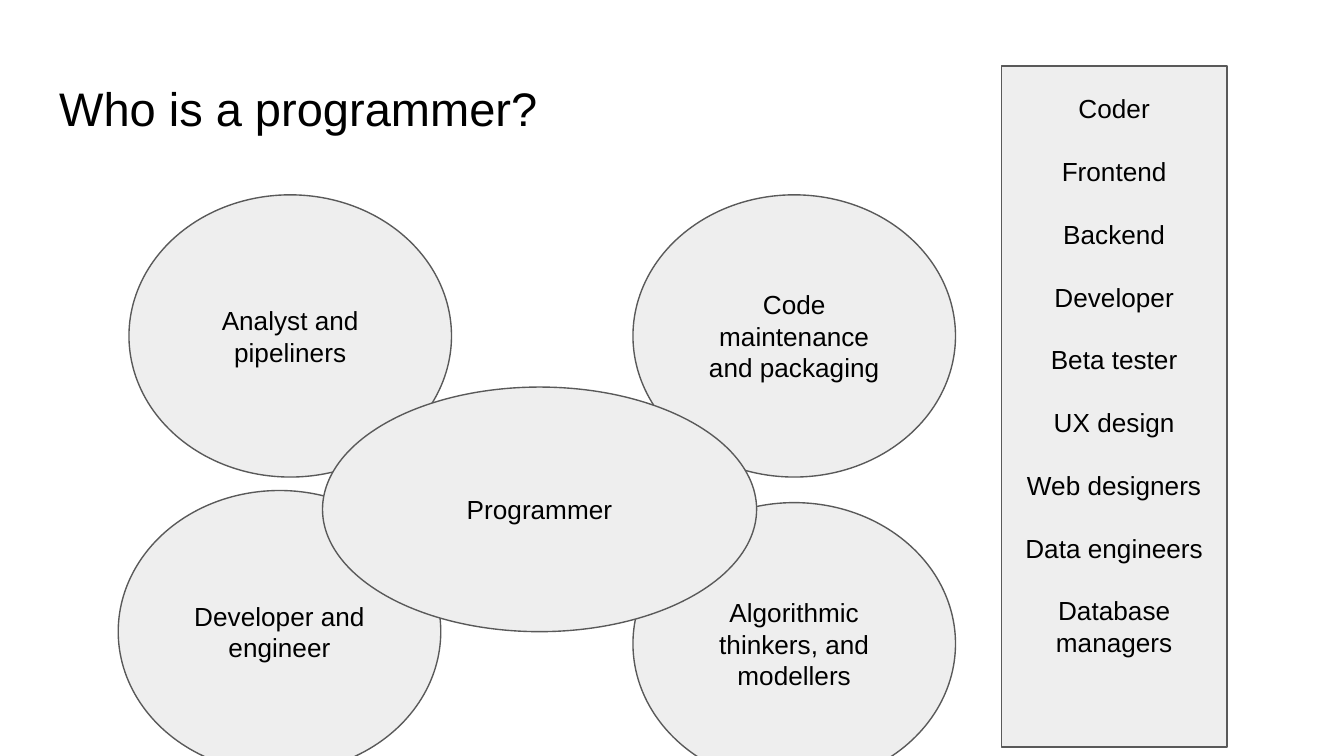
import pptx
import pptx.util
import pptx.dml.color
import pptx.enum.shapes
import pptx.enum.text
from dataclasses import dataclass

Inches, Pt = pptx.util.Inches, pptx.util.Pt
RGB = pptx.dml.color.RGBColor
SHAPE = pptx.enum.shapes.MSO_SHAPE
ANCHOR = pptx.enum.text.MSO_ANCHOR
ALIGN = pptx.enum.text.PP_ALIGN


@dataclass(frozen=True)
class Theme:
    font: str = "Arial"
    text: RGB = RGB(0, 0, 0)
    fill: RGB = RGB(0xEE, 0xEE, 0xEE)
    line: RGB = RGB(0x59, 0x59, 0x59)
    line_width: float = 0.75
    title_size: float = 25.2
    body_size: float = 14
    leading: float = 16.8
    inset: float = 0.1


THEME = Theme()

TITLE = "Who is a programmer?"
TITLE_BOX = (0.34, 0.49, 9.32, 0.63)
ROLE_SIZE = (2.4, 2.1)
ROLES = [
    ((0.96, 1.45), ["Analyst and pipeliners"]),
    ((0.88, 3.65), ["Developer and engineer"]),
    ((4.71, 1.45), ["Code maintenance", "and packaging"]),
    ((4.71, 3.74), ["Algorithmic thinkers, and modellers"]),
]
CENTRE = ((2.4, 2.88, 3.23, 1.82), ["Programmer"])
JOBS = [
    "Coder", "Frontend", "Backend", "Developer", "Beta tester",
    "UX design", "Web designers", "Data engineers", "Database managers",
]
JOBS_BOX = (7.45, 0.49, 1.68, 5.07)
JOBS_TOP_INSET = 0.2


def write(tf, lines, size, align, anchor, leading=None, gap=0):
    tf.word_wrap = True
    tf.auto_size = pptx.enum.text.MSO_AUTO_SIZE.NONE
    tf.vertical_anchor = anchor
    tf.margin_left = tf.margin_right = Inches(THEME.inset)
    tf.margin_top = tf.margin_bottom = Inches(THEME.inset)
    for i, line in enumerate(lines):
        p = tf.add_paragraph() if i else tf.paragraphs[0]
        p.alignment = align
        p.space_before = Pt(gap if i else 0)
        if leading:
            p.line_spacing = Pt(leading)
        r = p.add_run()
        r.text = line
        r.font.name = THEME.font
        r.font.size = Pt(size)
        r.font.color.rgb = THEME.text


def add_box(slide, kind, box, lines, anchor=ANCHOR.MIDDLE, gap=0):
    sp = slide.shapes.add_shape(kind, *map(Inches, box))
    sp.shadow.inherit = False
    sp.fill.solid()
    sp.fill.fore_color.rgb = THEME.fill
    sp.line.color.rgb = THEME.line
    sp.line.width = Pt(THEME.line_width)
    write(sp.text_frame, lines, THEME.body_size, ALIGN.CENTER, anchor,
          THEME.leading, gap)
    return sp


def main():
    prs = pptx.Presentation()
    prs.slide_width = Inches(10)
    prs.slide_height = prs.slide_width * 9 // 16
    slide = prs.slides.add_slide(prs.slide_layouts[5])

    title = slide.shapes.title
    title.left, title.top, title.width, title.height = map(Inches, TITLE_BOX)
    write(title.text_frame, [TITLE], THEME.title_size, ALIGN.LEFT, ANCHOR.TOP)

    for position, lines in ROLES:
        add_box(slide, SHAPE.OVAL, position + ROLE_SIZE, lines)
    add_box(slide, SHAPE.OVAL, *CENTRE)

    jobs = add_box(slide, SHAPE.RECTANGLE, JOBS_BOX, JOBS, ANCHOR.TOP,
                   THEME.leading)
    jobs.text_frame.margin_top = Inches(JOBS_TOP_INSET)

    prs.save("out.pptx")


if __name__ == "__main__":
    main()
